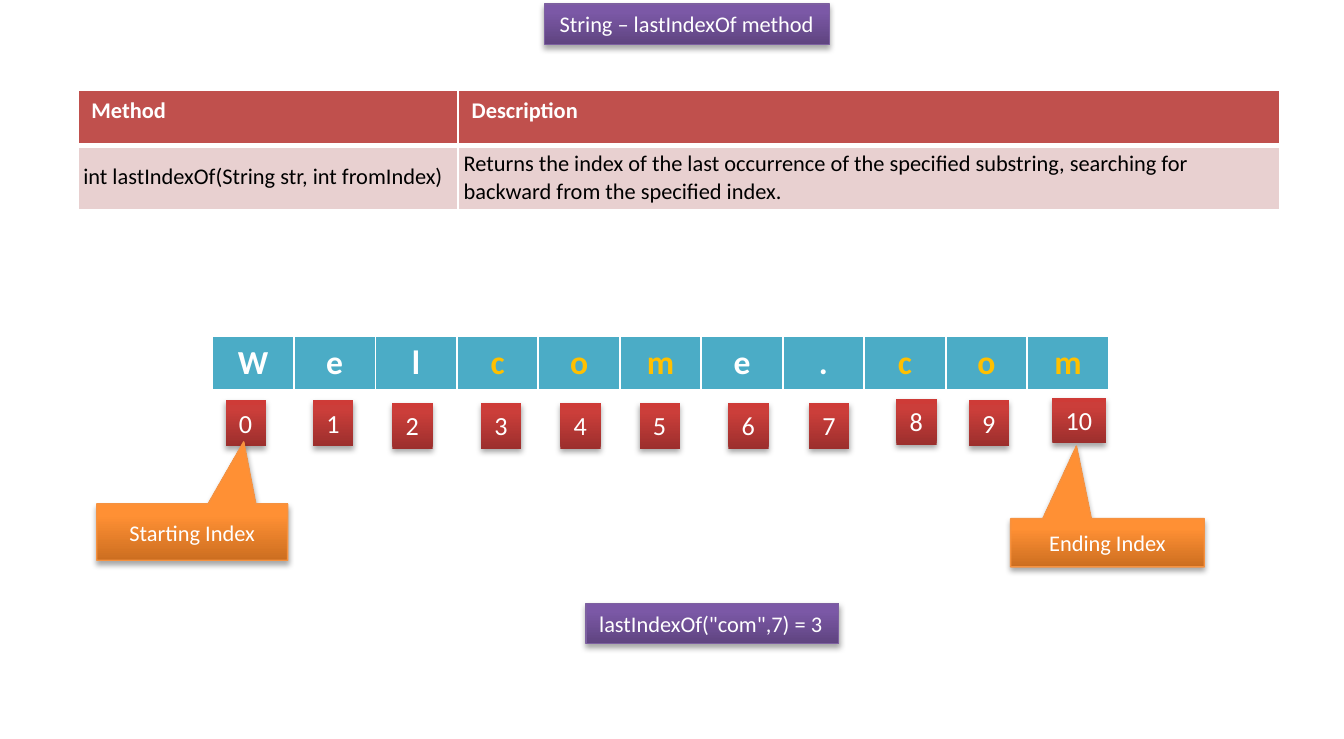
from copy import deepcopy
from dataclasses import dataclass

from lxml.etree import SubElement
from pptx import Presentation
from pptx.dml.color import RGBColor
from pptx.enum.shapes import MSO_SHAPE
from pptx.enum.text import MSO_ANCHOR, MSO_AUTO_SIZE, PP_ALIGN
from pptx.oxml import parse_xml
from pptx.oxml.ns import nsdecls, qn
from pptx.slide import Slide
from pptx.table import Table, _Cell
from pptx.util import Inches, Pt

COLORS = {
    "white": "FFFFFF",
    "black": "000000",
    "header": "C0504D",
    "body": "E8D0D0",
    "letter": "4BACC6",
    "match": "FFC000",
    "purple line": "7D60A0",
    "orange line": "F69240",
}
GRADIENTS = {
    "purple": ("5F4480", "7B58A6", "7C57A8"),
    "red": ("9C2F2D", "CB3E3A", "CE3B37"),
    "orange": ("CC6E20", "FF9034", "FF9136"),
}
FONT = "Calibri"


@dataclass(frozen=True)
class Box:
    text: str
    left: float
    top: float
    width: float
    height: float
    gradient: str
    size: int = 12
    line: str = ""
    centered: bool = False
    wrap: bool = False
    pointer: tuple[float, float] | None = None


def rgb(name: str) -> RGBColor:
    """Return a named colour."""
    return RGBColor.from_string(COLORS[name])


def draw_box(slide: Slide, box: Box) -> None:
    """Draw a shadowed gradient box, or a callout if it has a pointer."""
    kind = MSO_SHAPE.RECTANGULAR_CALLOUT if box.pointer else MSO_SHAPE.RECTANGLE
    position = (Inches(value) for value in (box.left, box.top, box.width, box.height))
    shape = slide.shapes.add_shape(kind, *position)
    if box.pointer:
        shape.adjustments[0], shape.adjustments[1] = box.pointer

    shape.fill.gradient()
    shape.fill.gradient_angle = 90
    stop_list = shape._element.spPr.find(".//" + qn("a:gsLst"))
    stop_list.append(deepcopy(stop_list[0]))
    colors = GRADIENTS[box.gradient]
    for stop, offset, color in zip(shape.fill.gradient_stops, (0, 0.8, 1), colors):
        stop.position = offset
        stop.color.rgb = RGBColor.from_string(color)

    if box.line:
        shape.line.color.rgb = rgb(box.line)
        shape.line.width = Pt(0.75)
    else:
        shape.line.fill.background()

    shape.shadow.inherit = False
    effects = shape._element.spPr.find(qn("a:effectLst"))
    effects.append(parse_xml(
        f'<a:outerShdw {nsdecls("a")} blurRad="{Pt(3.1)}" dist="{Pt(1.8)}" '
        f'dir="5400000" rotWithShape="0"><a:srgbClr val="{COLORS["black"]}">'
        '<a:alpha val="35000"/></a:srgbClr></a:outerShdw>'
    ))

    frame = shape.text_frame
    frame.word_wrap = box.wrap
    frame.vertical_anchor = MSO_ANCHOR.MIDDLE if box.pointer else MSO_ANCHOR.TOP
    if not box.pointer:
        frame.auto_size = MSO_AUTO_SIZE.SHAPE_TO_FIT_TEXT
    paragraph = frame.paragraphs[0]
    paragraph.text = box.text
    paragraph.alignment = PP_ALIGN.CENTER if box.centered else PP_ALIGN.LEFT
    paragraph.font.name = FONT
    paragraph.font.size = Pt(box.size)
    paragraph.font.color.rgb = rgb("white")


def add_plain_table(slide: Slide, left: float, top: float,
                    columns: list[float], rows: list[float]) -> Table:
    """Add a table with the given column widths and row heights."""
    table = slide.shapes.add_table(
        len(rows), len(columns), Inches(left), Inches(top),
        Inches(sum(columns)), Inches(sum(rows)),
    ).table
    table.horz_banding = False
    for column, width in zip(table.columns, columns):
        column.width = Inches(width)
    for row, height in zip(table.rows, rows):
        row.height = Inches(height)
    return table


def fill_cell(cell: _Cell, text: str, fill: str, color: str = "white",
              size: int = 12, bold: bool = True, bottom: int = 3) -> None:
    """Write a cell and give it a fill and white borders."""
    cell.text = text
    font = cell.text_frame.paragraphs[0].font
    font.name, font.size, font.bold = FONT, Pt(size), bold
    font.color.rgb = rgb(color)
    properties = cell._tc.get_or_add_tcPr()
    for side in "LRTB":
        width = Pt(bottom if side == "B" else 1)
        border = SubElement(properties, qn(f"a:ln{side}"), w=str(width))
        solid = SubElement(border, qn("a:solidFill"))
        SubElement(solid, qn("a:srgbClr"), val=COLORS["white"])
    cell.fill.solid()
    cell.fill.fore_color.rgb = rgb(fill)


def draw_method_table(slide: Slide) -> None:
    """Draw the method and its description."""
    table = add_plain_table(slide, 0.58, 0.67, [2.83, 6.11], [0.41, 0.48])
    content = {
        "Method": "int lastIndexOf(String str, int fromIndex)",
        "Description": "Returns the index of the last occurrence of the specified "
                       "substring, searching for backward from the specified index.",
    }
    for column, (heading, detail) in enumerate(content.items()):
        fill_cell(table.cell(0, column), heading, "header")
        cell = table.cell(1, column)
        fill_cell(cell, detail, "body", "black", bold=False, bottom=1)
        cell.vertical_anchor = MSO_ANCHOR.MIDDLE
        cell.margin_left = cell.margin_right = Inches(0.04)
        cell.margin_top = cell.margin_bottom = Inches(0.04)


def draw_letters(slide: Slide, word: str, match: str) -> None:
    """Draw the word one letter per cell, with its matches highlighted."""
    table = add_plain_table(slide, 1.58, 2.5, [6.67 / len(word)] * len(word), [0.41])
    matched = {
        start + offset
        for start in range(len(word)) if word.startswith(match, start)
        for offset in range(len(match))
    }
    for index, letter in enumerate(word):
        cell = table.cell(0, index)
        fill_cell(cell, letter, "letter", "match" if index in matched else "white", 18)
        cell.text_frame.paragraphs[0].alignment = PP_ALIGN.CENTER


def draw_indexes(slide: Slide) -> None:
    """Draw the index badges below the letters."""
    lefts = (1.68, 2.33, 2.92, 3.58, 4.17, 4.76, 5.42, 6.02, 6.67, 7.21, 7.83)
    tops = {0: 2.98, 1: 2.98, 8: 2.97, 9: 2.98, 10: 2.96}
    for index, left in enumerate(lefts):
        width = 0.3 if index < 10 else 0.4
        draw_box(slide, Box(str(index), left, tops.get(index, 3), width, 0.34, "red", 14))


def main() -> None:
    """Build and save the slide."""
    presentation = Presentation()
    presentation.slide_width, presentation.slide_height = Inches(10), Inches(5.5)
    slide = presentation.slides.add_slide(presentation.slide_layouts[6])
    draw_box(slide, Box("String – lastIndexOf method", 4.05, 0.03, 2.12, 0.3, "purple",
                        line="purple line", centered=True, wrap=True))
    draw_method_table(slide)
    draw_letters(slide, "Welcome.com", "com")
    draw_indexes(slide)
    draw_box(slide, Box("Starting Index", 0.72, 3.75, 1.42, 0.42, "orange",
                        line="orange line", centered=True, wrap=True, pointer=(0.27, -1.6)))
    draw_box(slide, Box("Ending Index", 7.52, 3.86, 1.44, 0.36, "orange",
                        line="orange line", centered=True, wrap=True, pointer=(-0.16, -2)))
    draw_box(slide, Box('lastIndexOf("com",7) = 3', 4.36, 4.49, 1.88, 0.3, "purple",
                        line="purple line"))
    presentation.save("out.pptx")


if __name__ == "__main__":
    main()
